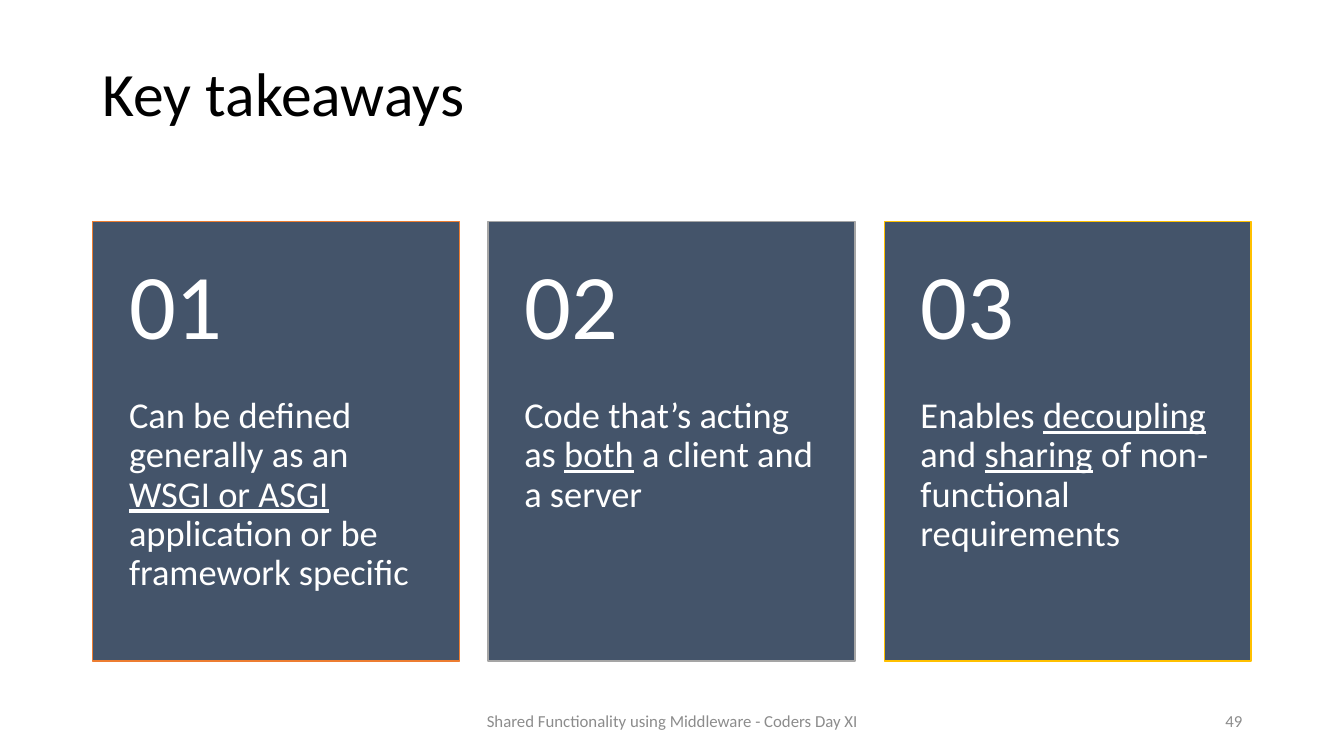
from dataclasses import dataclass

from pptx import Presentation
from pptx.dml.color import RGBColor
from pptx.enum.shapes import MSO_SHAPE
from pptx.enum.text import MSO_ANCHOR, PP_ALIGN
from pptx.util import Emu, Pt

EMU_PER_PX = 9144


@dataclass(frozen=True)
class Theme:
    font: str = "Calibri"
    ink: str = "000000"
    card: str = "44546A"
    card_text: str = "FFFFFF"
    muted: str = "8C8C8C"
    title_size: int = 44
    number_size: int = 66
    body_size: int = 26
    footer_size: int = 12
    tight: float = 0.9


def px(length):
    return Emu(length * EMU_PER_PX)


class SlideBuilder:
    def __init__(self, slide, theme):
        self.slide = slide
        self.theme = theme

    def panel(self, area, outline):
        box = self.slide.shapes.add_shape(MSO_SHAPE.RECTANGLE, *map(px, area))
        box.shadow.inherit = False
        box.fill.solid()
        box.fill.fore_color.rgb = RGBColor.from_string(self.theme.card)
        box.line.color.rgb = RGBColor.from_string(outline)
        box.line.width = Pt(1)

    def text(self, area, content, size, color, anchor=MSO_ANCHOR.MIDDLE,
             align=PP_ALIGN.LEFT, spacing=1.0, insets=(10, 5, 10, 5)):
        """Add a text box; words between underscores are underlined."""
        box = self.slide.shapes.add_textbox(*map(px, area))
        frame = box.text_frame
        frame.word_wrap = True
        frame.vertical_anchor = anchor
        (frame.margin_left, frame.margin_top,
         frame.margin_right, frame.margin_bottom) = map(px, insets)
        para = frame.paragraphs[0]
        para.alignment = align
        para.line_spacing = spacing
        para.font.name = self.theme.font
        para.font.size = Pt(size)
        para.font.color.rgb = RGBColor.from_string(color)
        for index, words in enumerate(content.split("_")):
            span = para.add_run()
            span.text = words
            if index % 2:
                span.font.underline = True

    def card(self, left, number, content, outline):
        theme = self.theme
        top, width, height, header = 220, 364, 436, 174
        self.panel((left, top, width, height), outline)
        self.text((left, top + header, width, height - header), content,
                  theme.body_size, theme.card_text, anchor=MSO_ANCHOR.TOP,
                  spacing=theme.tight, insets=(36, 0, 36, 36))
        self.text((left, top, width, header), f"{number:02}",
                  theme.number_size, theme.card_text,
                  spacing=theme.tight, insets=(36, 18, 36, 18))

    def footer(self, left, width, content, align):
        self.text((left, 695, width, 40), content, self.theme.footer_size,
                  self.theme.muted, align=align)


TAKEAWAYS = [
    ("Can be defined generally as an _WSGI or ASGI_ application or be framework specific", "ED7D31"),
    ("Code that’s acting as _both_ a client and a server", "A5A5A5"),
    ("Enables _decoupling_ and _sharing_ of non-functional requirements", "FFC000"),
]


def main():
    deck = Presentation()
    deck.slide_width, deck.slide_height = px(1333), px(750)
    page = deck.slides.add_slide(deck.slide_layouts[6])
    theme = Theme()
    builder = SlideBuilder(page, theme)

    builder.text((92, 37, 1149, 118), "Key takeaways", theme.title_size,
                 theme.ink, spacing=theme.tight)
    for index, (content, outline) in enumerate(TAKEAWAYS):
        builder.card(92 + index * 785 // 2, index + 1, content, outline)
    builder.footer(442, 450, "Shared Functionality using Middleware - Coders Day XI",
                   PP_ALIGN.CENTER)
    builder.footer(942, 300, "49", PP_ALIGN.RIGHT)
    deck.save("out.pptx")


if __name__ == "__main__":
    main()
